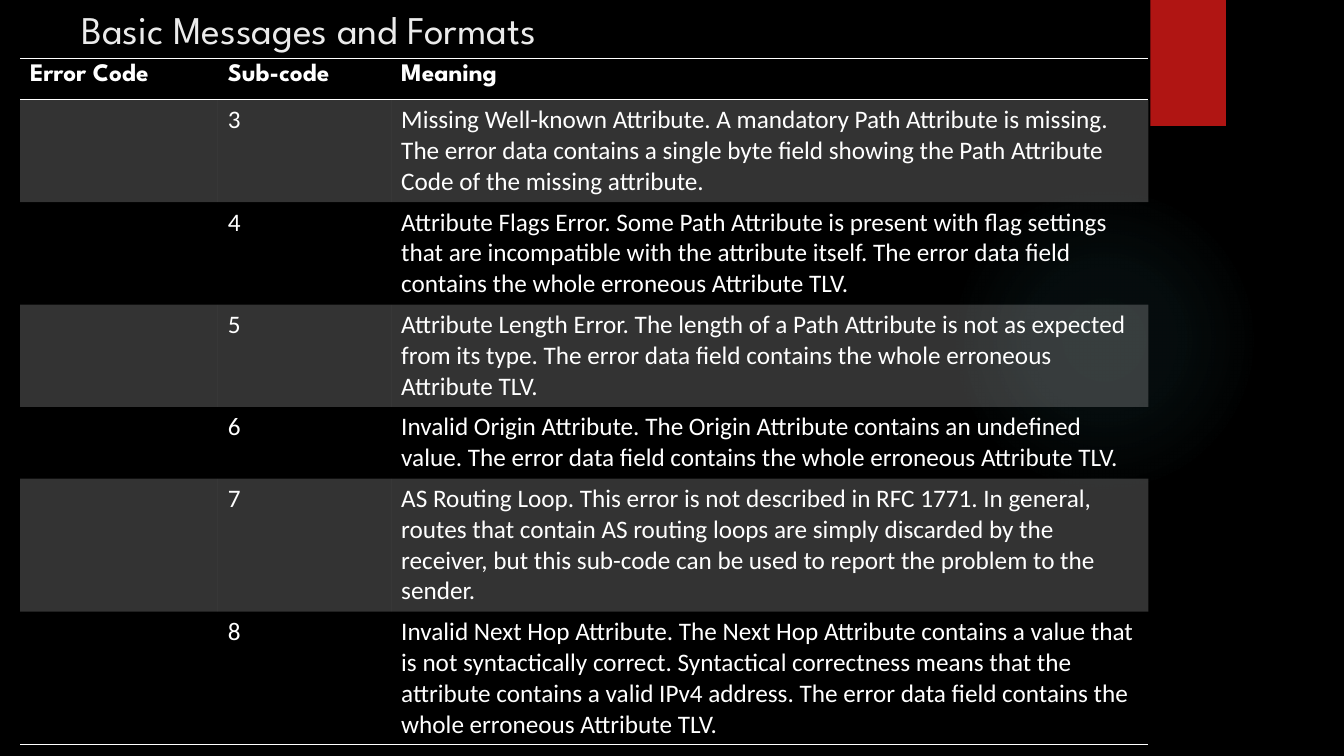
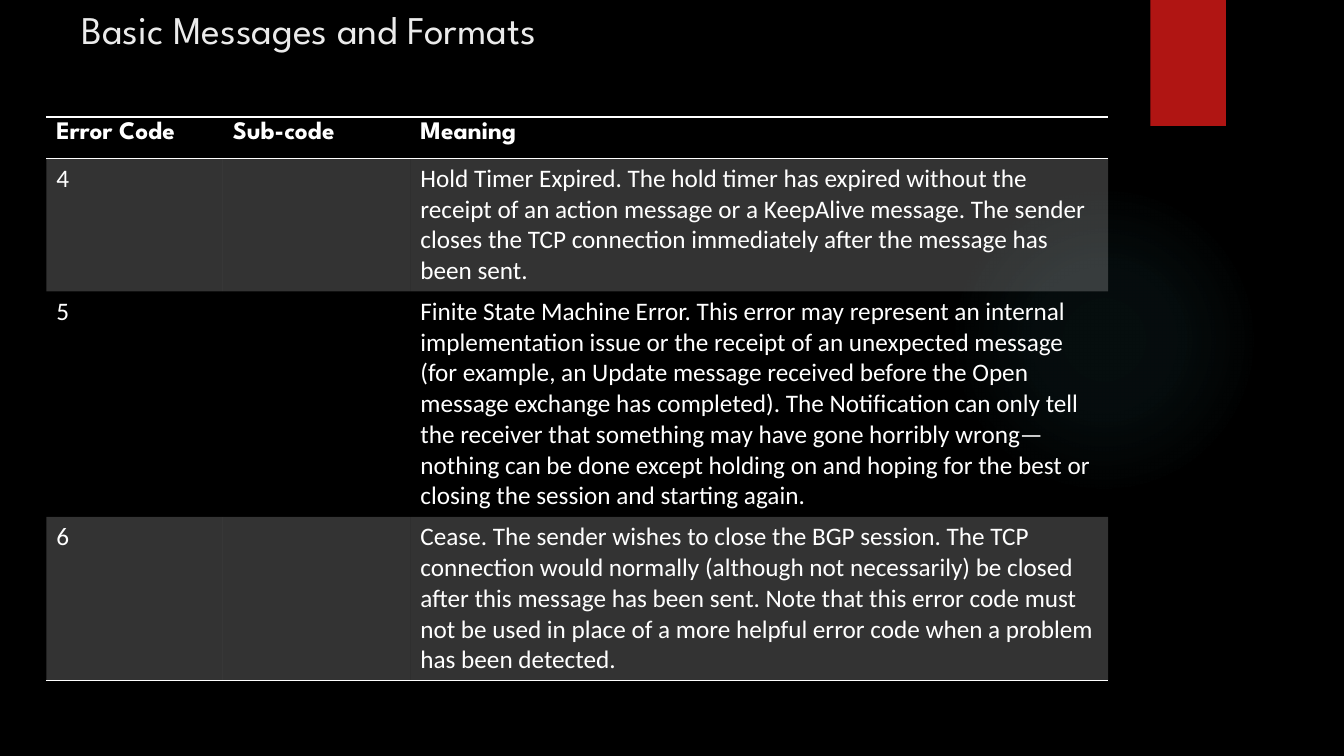
from pptx import Presentation
from pptx.dml.color import RGBColor as Rgb
from pptx.enum.shapes import MSO_SHAPE as Shape
from pptx.enum.text import MSO_ANCHOR as Anchor, MSO_AUTO_SIZE as Auto, PP_ALIGN as Align
from pptx.oxml import parse_xml as parse
from pptx.oxml.ns import nsdecls, qn
from pptx.util import Inches, Pt

BLACK, WHITE, PALE, RED, TEAL = "000000", "FFFFFF", "EBEBEB", "B01513", "50B9C1"
HEAD, BODY = "League Spartan", "Calibri"
PLAIN = "{2D5ABB26-0587-4C30-8999-92F81FD0307C}"  # table style without grid
COLS = ["Error Code", "Sub-code", "Meaning"]


def color(code):
    return Rgb.from_string(code)


class Deck:
    def __init__(self):
        self.prs = Presentation()
        self.prs.slide_width, self.prs.slide_height = Inches(13.33), Inches(7.5)
        back = self.prs.slide_master.background.fill
        back.solid()
        back.fore_color.rgb = color(BLACK)

    # Slide with the shared glow, tab and title
    def page(self, title, height):
        self.slide = self.prs.slides.add_slide(self.prs.slide_layouts[5])
        self.glow()
        self.shape(Shape.RECTANGLE, 11.41, 0, 0.75, 1.25, RED)
        self.title(title, height)

    def shape(self, kind, left, top, width, height, fill):
        item = self.slide.shapes.add_shape(kind, *map(Inches, (left, top, width, height)))
        item.shadow.inherit = False
        item.line.fill.background()
        item.fill.solid()
        item.fill.fore_color.rgb = color(fill)
        return item

    def glow(self):
        orb = self.shape(Shape.OVAL, 9.41, 1.83, 3.08, 3.08, TEAL)
        stops = "".join(
            f'<a:gs pos="{pos * 1000}"><a:srgbClr val="{TEAL}">'
            f'<a:alpha val="{alpha * 1000}"/></a:srgbClr></a:gs>'
            for pos, alpha in ((0, 7), (36, 6), (69, 0), (100, 0)))
        grad = parse(
            f'<a:gradFill {nsdecls("a")}><a:gsLst>{stops}</a:gsLst><a:path path="circle">'
            '<a:fillToRect l="50000" t="50000" r="50000" b="50000"/></a:path></a:gradFill>')
        props = orb.element.spPr
        props.replace(props.find(qn("a:solidFill")), grad)

    def title(self, text, height):
        box = self.slide.shapes.title
        box.left, box.top = Inches(0.71), Inches(0)
        box.width, box.height = Inches(10.29), Inches(height)
        frame = box.text_frame
        frame.word_wrap, frame.auto_size = True, Auto.NONE
        frame.vertical_anchor = Anchor.TOP
        para = frame.paragraphs[0]
        para.alignment = Align.LEFT
        self.run(para, text, 28, HEAD, PALE)

    def run(self, para, text, size, face, ink, bold=False):
        run = para.add_run()
        run.text = text
        font = run.font
        font.size, font.name, font.bold = Pt(size), face, bold
        font.color.rgb = color(ink)

    # Ruled table with every other body row shaded
    def table(self, left, top, widths, rows):
        rows = [COLS] + rows
        frame = self.slide.shapes.add_table(
            len(rows), len(widths), Inches(left), Inches(top),
            Inches(sum(widths)), Inches(0.41 * len(rows)))
        grid = frame.table
        grid.horz_banding = False
        frame.element.find(".//" + qn("a:tableStyleId")).text = PLAIN
        for col, width in zip(grid.columns, widths):
            col.width = Inches(width)
        for i, row in enumerate(rows):
            sides = ["T", "B"] if i == 0 else ["B"] if i == len(rows) - 1 else []
            for j, text in enumerate(row):
                self.cell(grid.cell(i, j), text, i == 0, sides, i % 2 == 1)

    def cell(self, cell, text, head, sides, shade):
        para = cell.text_frame.paragraphs[0]
        para.font.size = Pt(18)
        if text:
            self.run(para, text, 18, HEAD if head else BODY, WHITE, head)
        props = cell._tc.get_or_add_tcPr()
        for side in sides:
            props.append(parse(
                f'<a:ln{side} {nsdecls("a")} w="12700"><a:solidFill>'
                f'<a:srgbClr val="{WHITE}"/></a:solidFill></a:ln{side}>'))
        if shade:
            cell.fill.solid()
            cell.fill.fore_color.rgb = color(WHITE)
            tint = props.find(qn("a:solidFill"))[0]
            tint.append(parse(f'<a:alpha {nsdecls("a")} val="20000"/>'))
        else:
            cell.fill.background()


def main():
    deck = Deck()
    title = "Basic Messages and Formats"

    # Update message errors
    deck.page(title, 0.58)
    deck.table(0.2, 0.58, [1.96, 1.72, 7.51], [
        ["", "3", "Missing Well-known Attribute. A mandatory Path Attribute is missing. "
         "The error data contains a single byte field showing the Path Attribute Code "
         "of the missing attribute."],
        ["", "4", "Attribute Flags Error. Some Path Attribute is present with flag settings "
         "that are incompatible with the attribute itself. The error data field contains "
         "the whole erroneous Attribute TLV."],
        ["", "5", "Attribute Length Error. The length of a Path Attribute is not as expected "
         "from its type. The error data field contains the whole erroneous Attribute TLV."],
        ["", "6", "Invalid Origin Attribute. The Origin Attribute contains an undefined value. "
         "The error data field contains the whole erroneous Attribute TLV."],
        ["", "7", "AS Routing Loop. This error is not described in RFC 1771. In general, "
         "routes that contain AS routing loops are simply discarded by the receiver, but "
         "this sub-code can be used to report the problem to the sender."],
        ["", "8", "Invalid Next Hop Attribute. The Next Hop Attribute contains a value that "
         "is not syntactically correct. Syntactical correctness means that the attribute "
         "contains a valid IPv4 address. The error data field contains the whole erroneous "
         "Attribute TLV."],
    ])

    # Errors without sub-codes
    deck.page(title, 0.67)
    deck.table(0.46, 1.16, [1.75, 1.86, 6.92], [
        ["4", "", "Hold Timer Expired. The hold timer has expired without the receipt of an "
         "action message or a KeepAlive message. The sender closes the TCP connection "
         "immediately after the message has been sent."],
        ["5", "", "Finite State Machine Error. This error may represent an internal "
         "implementation issue or the receipt of an unexpected message (for example, an "
         "Update message received before the Open message exchange has completed). The "
         "Notification can only tell the receiver that something may have gone horribly "
         "wrong—nothing can be done except holding on and hoping for the best or closing "
         "the session and starting again."],
        ["6", "", "Cease. The sender wishes to close the BGP session. The TCP connection "
         "would normally (although not necessarily) be closed after this message has been "
         "sent. Note that this error code must not be used in place of a more helpful "
         "error code when a problem has been detected."],
    ])
    deck.prs.save("out.pptx")


if __name__ == "__main__":
    main()
